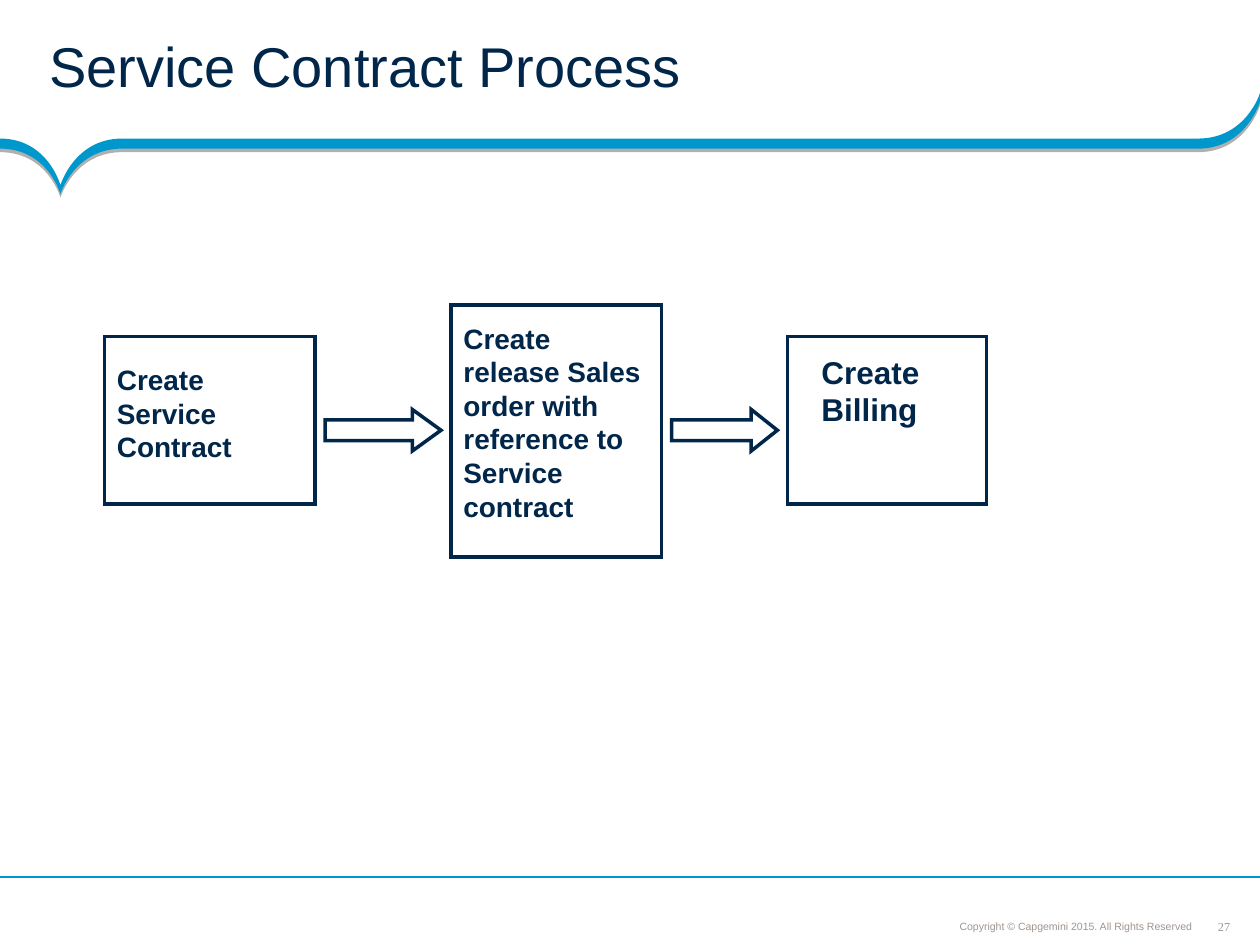
from lxml import etree
from pptx import Presentation
from pptx.dml.color import RGBColor
from pptx.enum.shapes import MSO_CONNECTOR, MSO_SHAPE
from pptx.enum.text import MSO_ANCHOR, PP_ALIGN
from pptx.oxml import parse_xml
from pptx.oxml.ns import nsdecls, qn
from pptx.util import Inches, Pt

RECTANGLE, RIGHT_ARROW = MSO_SHAPE.RECTANGLE, MSO_SHAPE.RIGHT_ARROW
STRAIGHT = MSO_CONNECTOR.STRAIGHT
TOP, MIDDLE, BOTTOM = MSO_ANCHOR.TOP, MSO_ANCHOR.MIDDLE, MSO_ANCHOR.BOTTOM
LEFT, CENTER, RIGHT = PP_ALIGN.LEFT, PP_ALIGN.CENTER, PP_ALIGN.RIGHT
COLORS = {"navy": "00264A", "blue": "0098CC", "gray": "9F958F", "shadow": "000000"}


def color(name):
    """Return a palette colour."""
    return RGBColor.from_string(COLORS[name])


def add_text(slide, box, text, size, ink="navy", bold=False, font="Arial",
             align=LEFT, anchor=TOP, margins=(0, 0), wrap=True):
    """Place one paragraph of text in a box and return the paragraph."""
    frame = slide.shapes.add_textbox(*map(Inches, box)).text_frame
    frame.word_wrap = wrap
    frame.vertical_anchor = anchor
    frame.margin_left = frame.margin_right = Inches(margins[0])
    frame.margin_top = frame.margin_bottom = Inches(margins[1])
    paragraph = frame.paragraphs[0]
    paragraph.text = text
    paragraph.alignment = align
    font_format = paragraph.runs[0].font
    font_format.name, font_format.size, font_format.bold = font, Pt(size), bold
    font_format.color.rgb = color(ink)
    return paragraph


def bend_segment(segment, controls):
    """Turn a straight freeform segment into a curve with two control points."""
    segment.tag = qn("a:cubicBezTo")
    for index, (x, y) in enumerate(controls):
        point = etree.Element(qn("a:pt"), x=str(Inches(x)), y=str(Inches(y)))
        segment.insert(index, point)


def add_ribbon(slide, left, top, width):
    """Draw the curved ribbon with its shadow below the title."""
    upper, lower, tip, bottom, lift = 0.36, 0.44, 0.73, 0.8, 0.07
    bend = width - 0.49
    segments = [
        ((0.97, upper), None),
        ((0.48, tip), ((0.59, upper), (0.48, tip))),
        ((0, upper), ((0.48, tip), (0.38, upper))),
        ((0, lower), None),
        ((0.48, bottom), ((0.38, lower), (0.48, bottom))),
        ((0.97, lower), ((0.48, bottom), (0.59, lower))),
        ((bend, lower), None),
        ((width, lift), ((width - 0.11, lower), (width, lift))),
        ((width, 0), None),
        ((bend, upper), ((width, 0), (width - 0.11, upper))),
    ]
    builder = slide.shapes.build_freeform(Inches(left + bend), Inches(top + upper))
    builder.add_line_segments(
        [(Inches(left + x), Inches(top + y)) for (x, y), _ in segments], close=True)
    ribbon = builder.convert_to_shape()
    lines = list(ribbon._element.iter(qn("a:lnTo")))
    for line, (_, controls) in zip(lines, segments):
        if controls:
            bend_segment(line, controls)
    ribbon.fill.solid()
    ribbon.fill.fore_color.rgb = color("blue")
    ribbon.line.fill.background()
    ribbon._element.spPr.append(parse_xml(
        f'<a:effectLst {nsdecls("a")}><a:outerShdw blurRad="0" dist="{Pt(2)}" '
        f'dir="5400000" algn="ctr" rotWithShape="0"><a:srgbClr val="{COLORS["shadow"]}">'
        '<a:alpha val="31000"/></a:srgbClr></a:outerShdw></a:effectLst>'))


def add_outline(slide, kind, box):
    """Draw an unfilled navy shape with sharp corners and return it."""
    shape = slide.shapes.add_shape(kind, *map(Inches, box))
    shape.shadow.inherit = False
    shape.fill.background()
    shape.line.color.rgb = color("navy")
    shape.line.width = Pt(2)
    etree.SubElement(shape.line._get_or_add_ln(), qn("a:miter"), lim="800000")
    return shape


def add_process(slide, left, top):
    """Draw the three process steps and the arrows between them."""
    steps = [
        ((0, 0.25, 1.67, 1.33), (0, 0.41, 1.5, 0.9), "Create Service Contract", 16),
        ((2.75, 0, 1.67, 2), (2.75, 0.08, 1.67, 1.7),
         "Create release Sales order with reference to Service contract", 16),
        ((5.42, 0.25, 1.58, 1.33), (5.59, 0.33, 1.25, 0.7), "Create Billing", 18),
    ]
    gap, arrow_top, arrow_height = 0.08, 0.83, 0.33
    for (x, y, *size), (text_x, text_y, *text_size), text, points in steps:
        add_outline(slide, RECTANGLE, (left + x, top + y, *size))
        add_text(slide, (left + text_x, top + text_y, *text_size), text, points,
                 bold=True, margins=(0.1, 0.05))
    for (before, *_), (after, *_) in zip(steps, steps[1:]):
        start = before[0] + before[2] + gap
        length = after[0] - gap - start
        arrow = add_outline(slide, RIGHT_ARROW, (
            left + start, top + arrow_top, length, arrow_height))
        arrow.adjustments[1] = 0.75 * length


def add_footer(slide, top, width):
    """Draw the footer rule, the copyright line and the page number."""
    rule = slide.shapes.add_connector(
        STRAIGHT, Inches(width), Inches(top), Inches(0), Inches(top))
    rule.line.color.rgb = color("blue")
    rule.line.width = Pt(0.75)
    etree.SubElement(rule._element.spPr, qn("a:effectLst"))
    notice = add_text(slide, (width - 3.19, top + 0.28, 2.69, 0.2),
                      "Copyright © Capgemini 2015. All Rights Reserved", 6, "gray",
                      align=RIGHT, anchor=BOTTOM, margins=(0.04, 0.04))
    notice.line_spacing = 0.9
    add_text(slide, (width - 0.49, top + 0.33, 0.41, 0.12), "27", 7, "gray",
             font="Times New Roman", align=CENTER, anchor=MIDDLE, wrap=False)


def main():
    """Build and save the slide."""
    presentation = Presentation()
    presentation.slide_width, presentation.slide_height = Inches(10), Inches(7.5)
    slide = presentation.slides.add_slide(presentation.slide_layouts[6])
    add_ribbon(slide, 0, 0.74, 10)
    add_footer(slide, 6.96, 10)
    add_text(slide, (0.39, 0.25, 7.53, 0.73), "Service Contract Process", 32)
    add_process(slide, 0.83, 2.42)
    presentation.save("out.pptx")


if __name__ == "__main__":
    main()
